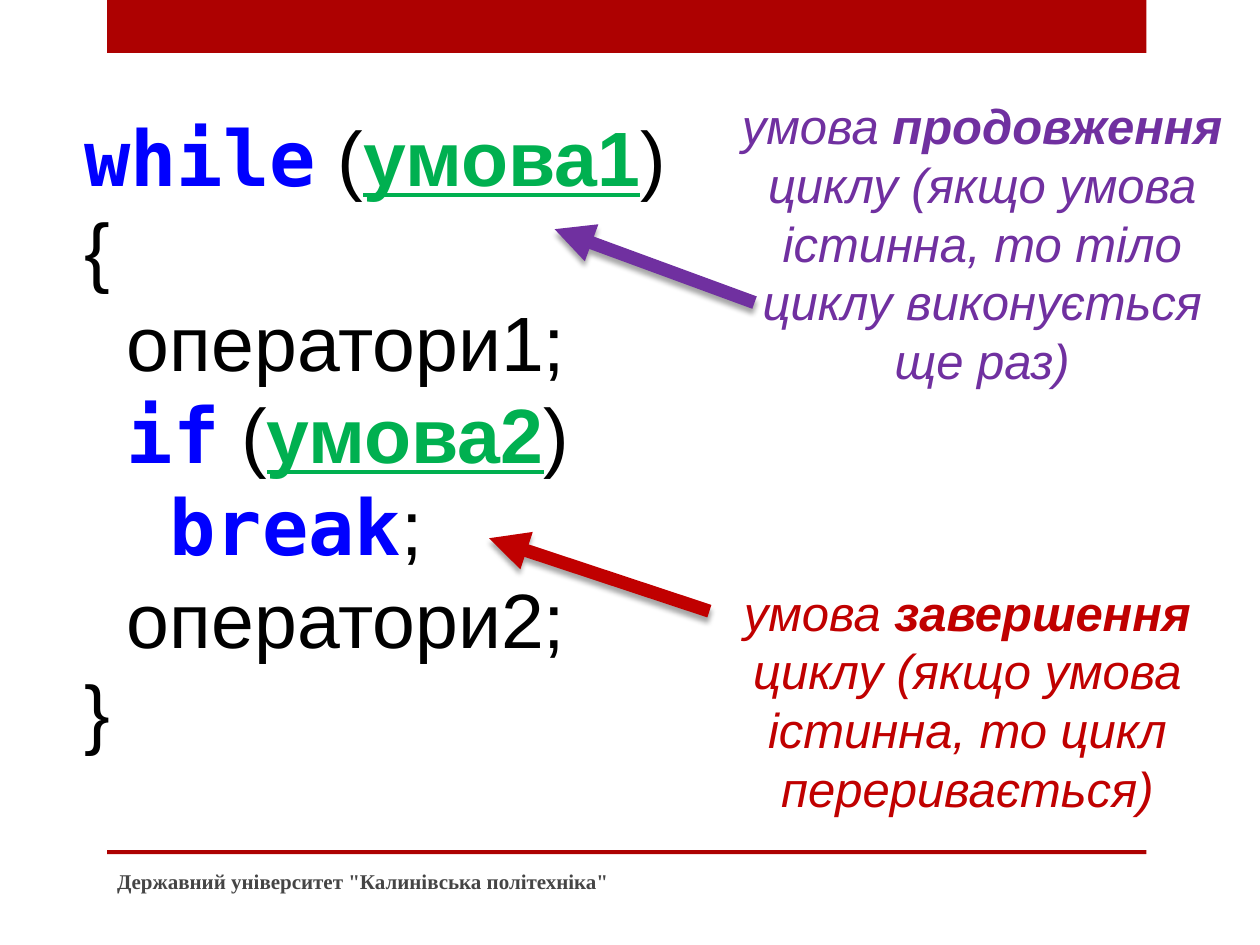
from lxml import etree
from pptx import Presentation
from pptx.dml.color import RGBColor
from pptx.enum.shapes import MSO_CONNECTOR, MSO_SHAPE
from pptx.enum.text import MSO_ANCHOR, PP_ALIGN
from pptx.oxml import parse_xml
from pptx.util import Cm, Pt

RECT, LINE = MSO_SHAPE.RECTANGLE, MSO_CONNECTOR.STRAIGHT
LEFT, CENTER = PP_ALIGN.LEFT, PP_ALIGN.CENTER
TOP, MIDDLE = MSO_ANCHOR.TOP, MSO_ANCHOR.MIDDLE
BAND = RGBColor(0xAD, 0x01, 0x01)
BLACK = RGBColor(0, 0, 0)
BLUE = RGBColor(0, 0, 0xFF)
GREEN = RGBColor(0, 0xB0, 0x50)
PURPLE = RGBColor(0x70, 0x30, 0xA0)
RED = RGBColor(0xC0, 0, 0)
GRAY = RGBColor(0x45, 0x45, 0x45)
NS = "http://schemas.openxmlformats.org/drawingml/2006/main"
SHADOW = (f'<a:effectLst xmlns:a="{NS}"><a:outerShdw blurRad="38100" '
          'dist="38100" dir="5400000" rotWithShape="0">'
          '<a:srgbClr val="000000"><a:alpha val="35000"/></a:srgbClr>'
          '</a:outerShdw></a:effectLst>')

deck = Presentation()
deck.slide_width, deck.slide_height = Cm(25.4), Cm(19.05)
slide = deck.slides.add_slide(deck.slide_layouts[6])
shapes = slide.shapes


def add_box(x, y, w, h, anchor=TOP):
    frame = shapes.add_textbox(Cm(x), Cm(y), Cm(w), Cm(h)).text_frame
    frame.word_wrap = True
    frame.vertical_anchor = anchor
    return frame


def add_runs(para, align, base, parts):
    para.alignment = align
    for text, style in parts:
        run = para.add_run()
        run.text = text
        look = {**base, **style}
        run.font.color.rgb = look.pop("color")
        for key, value in look.items():
            setattr(run.font, key, value)


# Top band and bottom rule
for y, h in ((0, 1.07), (17.14, 0.08)):
    bar = shapes.add_shape(RECT, Cm(2.16), Cm(y), Cm(20.95), Cm(h))
    bar.shadow.inherit = False
    bar.fill.solid()
    bar.fill.fore_color.rgb = BAND
    bar.line.fill.background()

# Code, one paragraph a line, indented by level
PLAIN = {"size": Pt(44), "name": "Arial", "color": BLACK}
WORD = {"name": "DejaVu Sans Mono", "color": BLUE, "bold": True}
COND = {"color": GREEN, "bold": True, "underline": True}
STEP = 0.86
code = (
    (0, (("while", WORD), (" (", {}), ("умова1", COND), (")", {}))),
    (0, (("{", {}),)),
    (1, (("оператори1;", {}),)),
    (1, (("if", WORD), (" (", {}), ("умова2", COND), (")", {}))),
    (2, (("break", WORD), (";", {}))),
    (1, (("оператори2;", {}),)),
    (0, (("}", {}),)),
)
frame = add_box(1.45, 2.08, 23.95, 13.41)
for i, (level, parts) in enumerate(code):
    para = frame.add_paragraph() if i else frame.paragraphs[0]
    add_runs(para, LEFT, PLAIN, parts)
    para._p.get_or_add_pPr().set("marL", str(Cm(level * STEP)))

# Notes on the two conditions, each with its arrow
notes = (
    (14.3, 1.8, 6.25, PURPLE, "продовження",
     " циклу (якщо умова істинна, то тіло циклу виконується ще раз)",
     (15.21, 6.1, 11.18, 4.62)),
    (14, 11.61, 5.05, RED, "завершення",
     " циклу (якщо умова істинна, то цикл переривається)",
     (14.3, 12.32, 9.86, 10.85)),
)
for x, y, h, color, key, rest, ends in notes:
    arrow = shapes.add_connector(LINE, *[Cm(v) for v in ends])
    arrow.line.color.rgb = color
    arrow.line.width = Pt(7.5)
    etree.SubElement(arrow.line._get_or_add_ln(), f"{{{NS}}}tailEnd",
                     type="triangle")
    arrow._element.spPr.append(parse_xml(SHADOW))
    base = {"size": Pt(28), "name": "Arial", "color": color, "italic": True}
    parts = (("умова ", {}), (key, {"bold": True}), (rest, {}))
    add_runs(add_box(x, y, 11, h).paragraphs[0], CENTER, base, parts)

# Footer
base = {"size": Pt(12), "name": "Times New Roman", "color": GRAY, "bold": True}
foot = add_box(2.11, 17.25, 13.54, 1.02, MIDDLE)
add_runs(foot.paragraphs[0], LEFT, base,
         (('Державний університет "Калинівська політехніка"', {}),))

deck.save("out.pptx")
